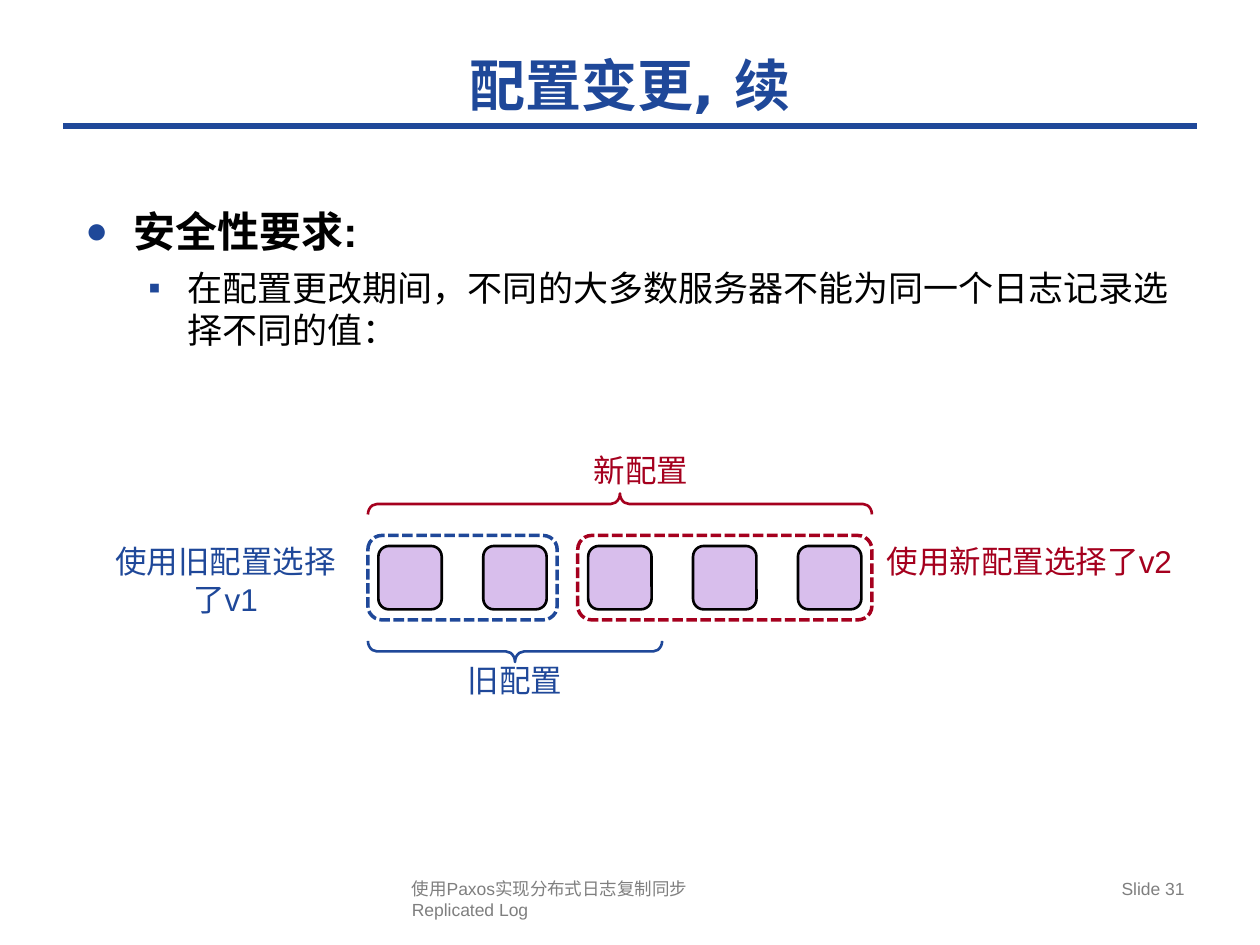
from dataclasses import dataclass

from lxml import etree
from pptx import Presentation
from pptx.dml.color import RGBColor
from pptx.enum import dml, shapes, text
from pptx.oxml import ns
from pptx.util import Inches, Pt


@dataclass(frozen=True)
class Theme:
    blue: str = "1F4899"
    red: str = "A5001E"
    server: str = "D8BEEC"
    black: str = "000000"
    gray: str = "7F7F7F"
    font: str = "Arial"
    title_font: str = "DejaVu Sans"
    title_size: int = 32
    heading_size: int = 24
    body_size: int = 20
    label_size: int = 18
    footer_size: int = 10


THEME = Theme()
ALIGN = text.PP_ALIGN


def add_run(paragraph, words, size, color, bold=False, font=THEME.font):
    run = paragraph.add_run()
    run.text = words
    run.font.size = Pt(size)
    run.font.name = font
    run.font.bold = bold
    run.font.color.rgb = RGBColor.from_string(color)


def add_text_frame(slide, box, inset=None, grow=False):
    frame = slide.shapes.add_textbox(*map(Inches, box)).text_frame
    frame.word_wrap = True
    if grow:
        frame.auto_size = text.MSO_AUTO_SIZE.SHAPE_TO_FIT_TEXT
    if inset is not None:
        frame.margin_left = frame.margin_right = Inches(inset)
        frame.margin_top = frame.margin_bottom = Inches(inset)
    return frame


def add_outline(slide, preset, box, color, width, fill=None, dash=None):
    shape = slide.shapes.add_shape(preset, *map(Inches, box))
    shape.shadow.inherit = False
    if fill:
        shape.fill.solid()
        shape.fill.fore_color.rgb = RGBColor.from_string(fill)
    else:
        shape.fill.background()
    shape.line.color.rgb = RGBColor.from_string(color)
    shape.line.width = Pt(width)
    if dash:
        shape.line.dash_style = dash
    return shape


def add_title(slide, box, words):
    left, top, width, height = box
    rule = slide.shapes.add_connector(
        shapes.MSO_CONNECTOR.STRAIGHT,
        *map(Inches, (left, top + height, left + width, top + height)))
    rule.line.color.rgb = RGBColor.from_string(THEME.blue)
    rule.line.width = Pt(4)
    etree.SubElement(rule._element.spPr, ns.qn("a:effectLst"))
    frame = add_text_frame(slide, box)
    frame.vertical_anchor = text.MSO_ANCHOR.MIDDLE
    paragraph = frame.paragraphs[0]
    paragraph.alignment = ALIGN.CENTER
    add_run(paragraph, words, THEME.title_size, THEME.blue, True, THEME.title_font)


def set_bullet(paragraph, character, indent, hanging, percent):
    properties = paragraph._p.get_or_add_pPr()
    properties.set("marL", str(Inches(indent)))
    properties.set("indent", str(-Inches(hanging)))
    color = etree.SubElement(properties, ns.qn("a:buClr"))
    etree.SubElement(color, ns.qn("a:srgbClr"), val=THEME.blue)
    etree.SubElement(properties, ns.qn("a:buSzPct"), val=str(percent * 1000))
    etree.SubElement(properties, ns.qn("a:buFont"), typeface=THEME.font)
    etree.SubElement(properties, ns.qn("a:buChar"), char=character)


def add_body(slide, box, heading, detail):
    frame = add_text_frame(slide, box)
    first = frame.paragraphs[0]
    first.space_before = Pt(12)
    set_bullet(first, "●", 0.38, 0.38, 90)
    add_run(first, heading, THEME.heading_size, THEME.black, True)
    second = frame.add_paragraph()
    second.level = 1
    second.space_before = Pt(6)
    set_bullet(second, "▪", 0.81, 0.31, 100)
    add_run(second, detail, THEME.body_size, THEME.black)


def add_label(slide, box, words, color, inset=None):
    paragraph = add_text_frame(slide, box, inset, grow=True).paragraphs[0]
    paragraph.alignment = ALIGN.CENTER
    add_run(paragraph, words, THEME.label_size, color)


def add_brace(slide, box, color, rotation):
    left, top, width, height = box
    upright = (left + (width - height) / 2, top + (height - width) / 2, height, width)
    brace = add_outline(slide, shapes.MSO_SHAPE.LEFT_BRACE, upright, color, 1.5)
    brace.adjustments[0] = 0.431
    brace.rotation = rotation


def add_servers(slide, box):
    left, top, width, height = box
    pad = 1 / 12
    side = height - 2 * pad
    pitch = (width - 2 * pad - side) / 4
    rounded = shapes.MSO_SHAPE.ROUNDED_RECTANGLE

    def span(count):
        return (count - 1) * pitch + side + 2 * pad

    for index in range(5):
        add_outline(slide, rounded, (left + pad + index * pitch, top + pad, side, side),
                    THEME.black, 1.5, fill=THEME.server)
    for start, count, color in ((0, 2, THEME.blue), (2, 3, THEME.red)):
        add_outline(slide, rounded, (left + start * pitch, top, span(count), height),
                    color, 2, dash=dml.MSO_LINE.SQUARE_DOT)

    depth = 2 * pad
    add_brace(slide, (left, top + height + depth, span(3), depth), THEME.blue, 270)
    add_brace(slide, (left, top - 2 * depth, width, depth), THEME.red, 90)
    add_label(slide, (left, top + 1, span(3), 0.3), "旧配置", THEME.blue, 0)
    add_label(slide, (left + 1, top - 0.67, span(3), 0.3), "新配置", THEME.red, 0)
    add_label(slide, (left - 2.17, top, 2.08, 0.71), "使用旧配置选择了v1", THEME.blue)
    add_label(slide, (left + width, top, 2.5, 0.4), "使用新配置选择了v2", THEME.red)


def add_footer(slide, box, lines, align):
    paragraph = add_text_frame(slide, box).paragraphs[0]
    paragraph.alignment = align
    for index, line in enumerate(lines):
        if index:
            paragraph.add_line_break()
        add_run(paragraph, line, THEME.footer_size, THEME.gray)


def main():
    presentation = Presentation()
    presentation.slide_width = Inches(10)
    presentation.slide_height = Inches(7.5)
    slide = presentation.slides.add_slide(presentation.slide_layouts[6])
    add_title(slide, (0.5, 0.33, 9, 0.67), "配置变更, 续")
    add_body(slide, (0.58, 1.58, 9, 5.03), "安全性要求:",
             "在配置更改期间，不同的大多数服务器不能为同一个日志记录选择不同的值：")
    add_servers(slide, (2.92, 4.25, 4, 0.67))
    add_footer(slide, (3.17, 6.92, 3.75, 0.43),
               ("使用Paxos实现分布式日志复制同步", "Replicated Log"), ALIGN.LEFT)
    add_footer(slide, (7.17, 6.92, 2.33, 0.43), ("Slide 31",), ALIGN.RIGHT)
    presentation.save("out.pptx")


main()
